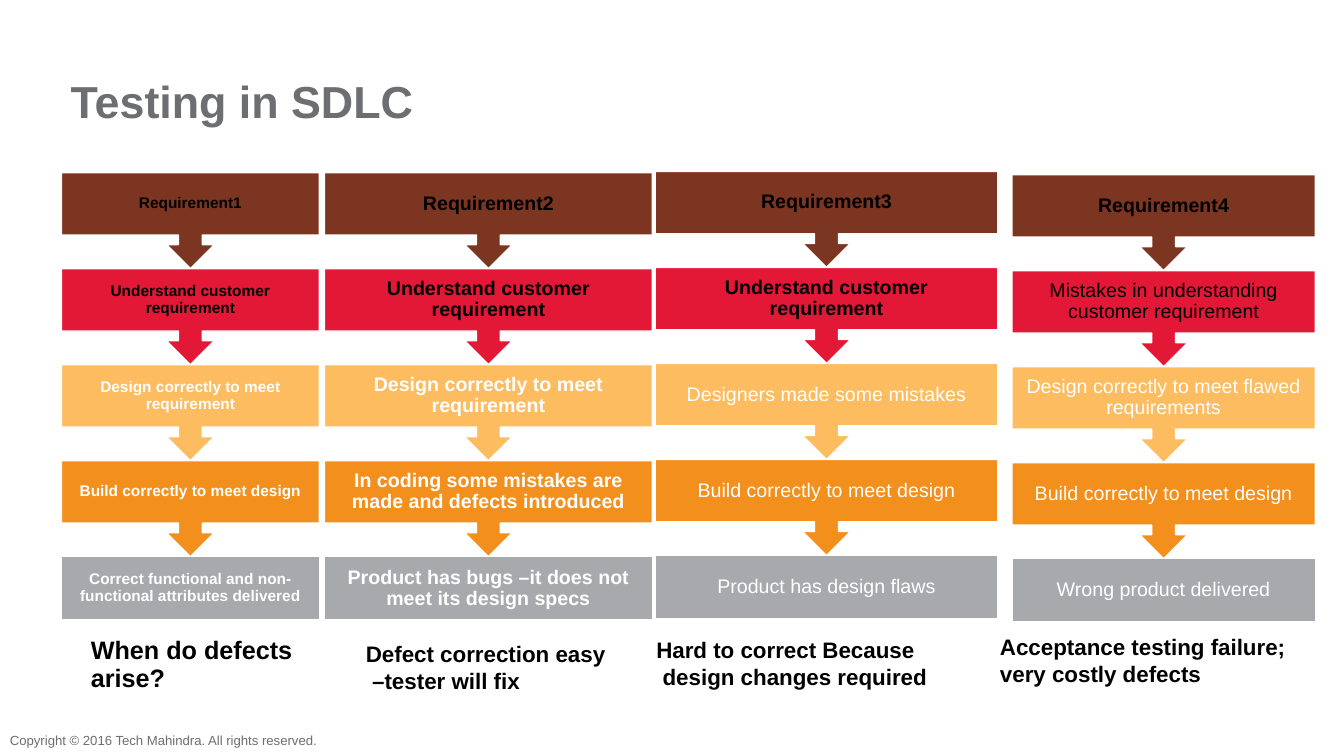
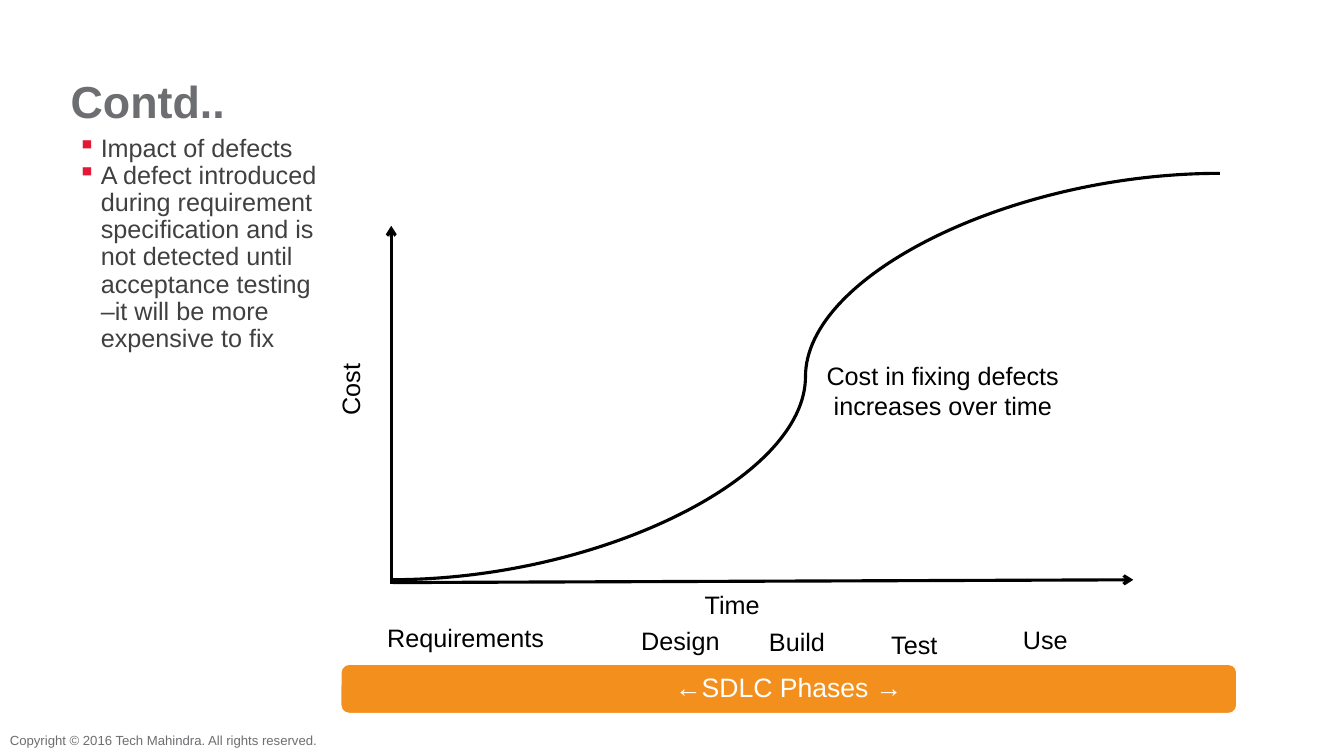
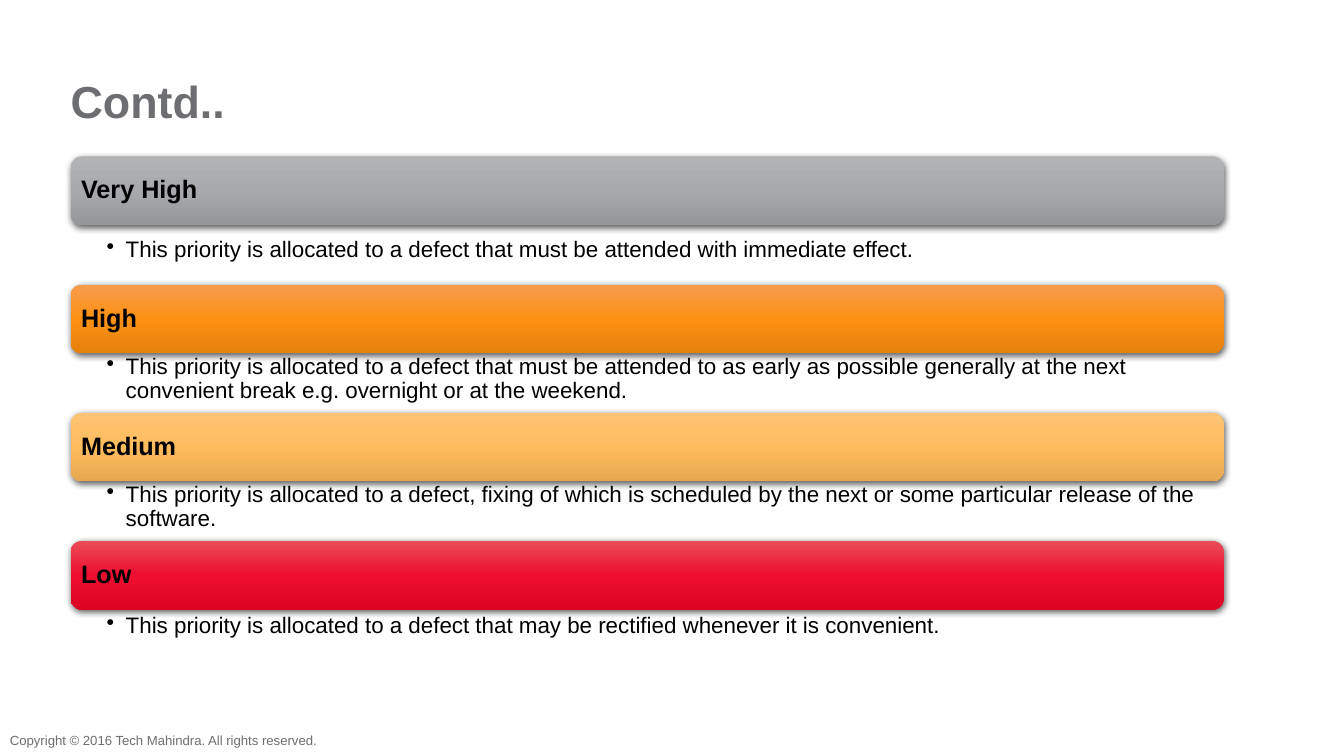
from pptx import Presentation
from pptx.dml.color import RGBColor
from pptx.enum import shapes, text
from pptx.oxml import parse_xml
from pptx.oxml.ns import nsdecls
from pptx.util import Cm, Pt

BLACK = RGBColor(0x00, 0x00, 0x00)
WHITE = RGBColor(0xFF, 0xFF, 0xFF)
TITLE_GREY = RGBColor(0x6D, 0x6E, 0x71)
BODY_GREY = RGBColor(0x40, 0x40, 0x40)
GREY = RGBColor(0xA7, 0xA9, 0xAC)
ORANGE = RGBColor(0xF3, 0x90, 0x1D)
AMBER = RGBColor(0xFD, 0xBC, 0x5F)
RED = RGBColor(0xE3, 0x18, 0x37)
BROWN = RGBColor(0x7C, 0x35, 0x20)

FONT = "Arial"
LEFT, CENTER = text.PP_ALIGN.LEFT, text.PP_ALIGN.CENTER
TOP, MIDDLE = text.MSO_ANCHOR.TOP, text.MSO_ANCHOR.MIDDLE
SHAPE = shapes.MSO_SHAPE
NO_INSETS = (0, 0, 0, 0)
BOX_INSETS = (0.25, 0.13, 0.25, 0.13)


# ---------- shared helpers ----------

def add_xml(parent, xml):
    tag, rest = xml.split(" ", 1) if " " in xml else (xml, "")
    el = parse_xml(f"{tag} {nsdecls('a')} {rest}")
    parent.append(el)
    return el


def write(sp, lines, size=18, color=BLACK, bold=False, align=LEFT, anchor=TOP,
          insets=NO_INSETS, spacing=None, wrap=True, indents=(0,),
          hanging=0, bullet=None, bullet_color=None):
    """Fill a shape with one paragraph per line; lengths are in cm."""
    tf = sp.text_frame
    tf.auto_size = text.MSO_AUTO_SIZE.NONE
    tf.word_wrap = wrap
    tf.vertical_anchor = anchor
    (tf.margin_left, tf.margin_top,
     tf.margin_right, tf.margin_bottom) = [Cm(v) for v in insets]
    lines = [lines] if isinstance(lines, str) else lines
    for i, line in enumerate(lines):
        p = tf.paragraphs[0] if i == 0 else tf.add_paragraph()
        pPr = p._p.get_or_add_pPr()
        pPr.set("marL", str(Cm(indents[min(i, len(indents) - 1)])))
        pPr.set("indent", str(-Cm(hanging)))
        if bullet_color:
            add_xml(pPr, f'<a:buClr ><a:srgbClr val="{bullet_color}"/></a:buClr>')
        if bullet:
            add_xml(pPr, f'<a:buChar char="{bullet}"/>')
        p.alignment = align
        if spacing:
            p.line_spacing = spacing
        r = p.add_run()
        r.text = line
        r.font.name, r.font.size, r.font.bold = FONT, Pt(size), bold
        r.font.color.rgb = color
    return sp


def add_text(slide, lines, x, y, w, h, **fmt):
    return write(slide.shapes.add_textbox(Cm(x), Cm(y), Cm(w), Cm(h)), lines, **fmt)


def add_box(slide, kind, x, y, w, h, fill):
    sp = slide.shapes.add_shape(kind, Cm(x), Cm(y), Cm(w), Cm(h))
    sp.shadow.inherit = False
    sp.fill.solid()
    sp.fill.fore_color.rgb = fill
    sp.line.color.rgb = WHITE
    sp.line.width = Pt(1)
    return sp


def add_line(slide, x1, y1, x2, y2, kind=shapes.MSO_CONNECTOR.STRAIGHT, arrow=True):
    line = slide.shapes.add_connector(kind, Cm(x1), Cm(y1), Cm(x2), Cm(y2))
    line.line.color.rgb = BLACK
    line.line.width = Pt(2.25)
    if arrow:
        add_xml(line.line._get_or_add_ln(), '<a:tailEnd type="arrow"/>')
    add_xml(line._element.spPr, "<a:effectLst />")


def add_slide(prs, title):
    """Title-only slide with the shared title style and copyright line."""
    slide = prs.slides.add_slide(prs.slide_layouts[5])
    sp = slide.shapes.title
    sp.left, sp.top, sp.width, sp.height = Cm(1.78), Cm(2), Cm(30.45), Cm(1.23)
    write(sp, title, size=32, color=TITLE_GREY, bold=True, spacing=0.9)
    add_text(slide, "Copyright © 2016 Tech Mahindra. All rights reserved.",
             0, 18.36, 8.46, 0.58, size=9.4, color=TITLE_GREY, anchor=MIDDLE,
             insets=BOX_INSETS)
    return slide


# ---------- slide 1: four requirement flows ----------

FLOW_STYLES = [(BROWN, BLACK), (RED, BLACK), (AMBER, WHITE), (ORANGE, WHITE),
               (GREY, WHITE)]
FLOW_STEP, FLOW_BOX = 2.42, 1.59

# left, top, width, text size, number of leading bold steps, steps
FLOWS = [
    (1.55, 4.35, 6.5, 11, 5,
     ["Requirement1", "Understand customer requirement",
      "Design correctly to meet requirement", "Build correctly to meet design",
      "Correct functional and non-functional attributes delivered"]),
    (8.18, 4.35, 8.26, 14, 5,
     ["Requirement2", "Understand customer requirement",
      "Design correctly to meet requirement",
      "In coding some mistakes are made and defects introduced",
      "Product has bugs –it does not meet its design specs"]),
    (16.51, 4.32, 8.64, 14, 2,
     ["Requirement3", "Understand customer requirement",
      "Designers made some mistakes", "Build correctly to meet design",
      "Product has design flaws"]),
    (25.5, 4.4, 7.65, 14, 1,
     ["Requirement4", "Mistakes in understanding customer requirement",
      "Design correctly to meet flawed requirements",
      "Build correctly to meet design", "Wrong product delivered"]),
]


def add_flow(slide, x, y, w, size, bold_steps, steps):
    inset = 0.02 * size
    for i, (step, (fill, color)) in enumerate(zip(steps, FLOW_STYLES)):
        last = i == len(steps) - 1
        sp = add_box(slide, SHAPE.RECTANGLE if last else SHAPE.DOWN_ARROW_CALLOUT,
                     x, y + i * FLOW_STEP, w, FLOW_BOX if last else FLOW_STEP, fill)
        write(sp, step, size=size, color=color, bold=i < bold_steps, align=CENTER,
              anchor=MIDDLE, insets=(inset,) * 4, spacing=0.9)


def sdlc_slide(prs):
    slide = add_slide(prs, "Testing in SDLC")
    for flow in FLOWS:
        add_flow(slide, *flow)
    # Conclusions under the flows
    add_text(slide, "When do defects arise?", 2.29, 16.08, 5.6, 1.4, bold=True,
             spacing=0.9)
    conclusions = [
        (9.22, 16.13, 6.6, ["Defect correction easy", "–tester will fix"]),
        (16.54, 16.03, 7.98, ["Hard to correct Because", "design changes required"]),
        (25.2, 15.95, 8.18, ["Acceptance testing failure; very costly defects"]),
    ]
    for x, y, w, lines in conclusions:
        add_text(slide, lines, x, y, w, 1.37, size=16, bold=True, indents=(0, 0.16))


# ---------- slide 2: cost of defects over time ----------

def add_cost_graph(slide, x, y, w, h):
    base = y + h
    # Axes and curve
    add_line(slide, x + 0.05, base + 0.07, x + 18.7, base)
    add_line(slide, x, base + 0.1, x, y + 1.32)
    add_line(slide, x, base, x + w, y, kind=shapes.MSO_CONNECTOR.CURVE, arrow=False)
    add_text(slide, ["Cost in fixing defects", "increases over time"],
             x + 10.97, y + 4.7, 6.4, 1.55, indents=(0, 0.18))
    # Axis names and phases
    add_text(slide, "Cost", x - 1.7, y + 5.06, 1.32, 0.76, wrap=False).rotation = 270
    labels = [("Time", 7.9, 0.25, 1.4), ("Requirements", -0.1, 1.07, 3.99),
              ("Design", 6.3, 1.14, 2.01), ("Build", 9.52, 1.17, 1.42),
              ("Test", 12.6, 1.24, 1.17), ("Use", 15.92, 1.12, 1.14)]
    for label, dx, dy, label_w in labels:
        add_text(slide, label, x + dx, base + dy, label_w, 0.76, wrap=False)
    sp = add_box(slide, SHAPE.ROUNDED_RECTANGLE, x - 1.27, base + 2.13, 22.58, 1.24,
                 ORANGE)
    write(sp, "←SDLC Phases →", size=19, color=WHITE, align=CENTER, anchor=MIDDLE,
          insets=(0.2,) * 4, spacing=0.9)


def cost_slide(prs):
    slide = add_slide(prs, "Contd..")
    add_text(slide, ["Impact of defects",
                     "A defect introduced during requirement specification and is "
                     "not detected until acceptance testing –it will be more "
                     "expensive to fix"],
             0.94, 3.28, 7.49, 6.27, color=BODY_GREY, insets=BOX_INSETS, spacing=0.9,
             indents=(1.35,), hanging=0.58, bullet="▪", bullet_color=RED)
    add_cost_graph(slide, 9.86, 4.37, 20.88, 10.24)


# ---------- slide 3: defect priorities ----------

# name, gradient from top to bottom, gap between bar and description, description
PRIORITIES = [
    ("Very High", ("B1B3B5", "A7A9AC", "949699"), 0.28,
     "This priority is allocated to a defect that must be attended with immediate "
     "effect."),
    ("High", ("F79C4F", "FE9112", "E5810D"), 0,
     "This priority is allocated to a defect that must be attended to as early as "
     "possible generally at the next convenient break e.g. overnight or at the "
     "weekend."),
    ("Medium", ("FFC476", "FFBC5D", "E5A850"), 0,
     "This priority is allocated to a defect, fixing of which is scheduled by the "
     "next or some particular release of the software."),
    ("Low", ("EB4D58", "ED0E30", "DC0324"), 0.07,
     "This priority is allocated to a defect that may be rectified whenever it is "
     "convenient."),
]
BAR_H, BAR_STEP = 1.73, 3.23


def add_priority(slide, x, y, w, name, colors, gap, description):
    sp = slide.shapes.add_shape(SHAPE.ROUNDED_RECTANGLE, Cm(x), Cm(y), Cm(w), Cm(BAR_H))
    sp.line.fill.background()
    # Gradient goes before the outline, shadow after it
    spPr = sp._element.spPr
    stops = "".join(f'<a:gs pos="{i * 50000}"><a:srgbClr val="{c}"/></a:gs>'
                    for i, c in enumerate(colors))
    grad = add_xml(spPr, f'<a:gradFill rotWithShape="1"><a:gsLst>{stops}</a:gsLst>'
                         '<a:lin ang="5400000" scaled="0"/></a:gradFill>')
    sp.line._get_or_add_ln().addprevious(grad)
    add_xml(spPr, f'<a:effectLst ><a:outerShdw blurRad="{Pt(4.5)}" dist="{Pt(1.5)}" '
                  'dir="5400000" rotWithShape="0"><a:srgbClr val="000000">'
                  '<a:alpha val="63000"/></a:srgbClr></a:outerShdw></a:effectLst>')
    write(sp, name, bold=True, anchor=MIDDLE, insets=(0.18,) * 4, spacing=0.9)
    add_text(slide, description, x, y + BAR_H + gap, w, 1.52, size=16,
             insets=(0.91, 0.05, 0.3, 0.05), spacing=0.9, indents=(0.48,),
             hanging=0.48, bullet="•")


def priority_slide(prs):
    slide = add_slide(prs, "Contd..")
    for i, priority in enumerate(PRIORITIES):
        add_priority(slide, 1.78, 3.94 + i * BAR_STEP, 29.06, *priority)


def main():
    prs = Presentation()
    prs.slide_width, prs.slide_height = Cm(33.87), Cm(19.05)
    sdlc_slide(prs)
    cost_slide(prs)
    priority_slide(prs)
    prs.save("out.pptx")


if __name__ == "__main__":
    main()
